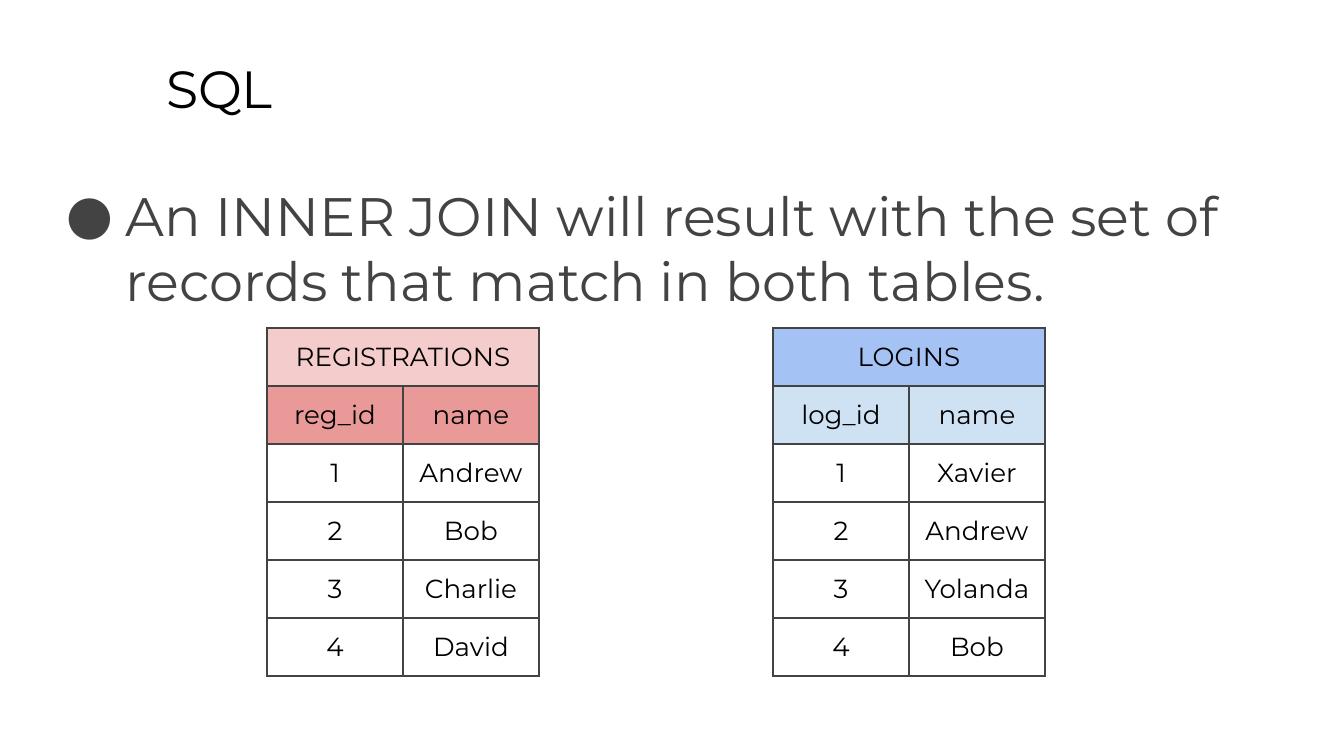
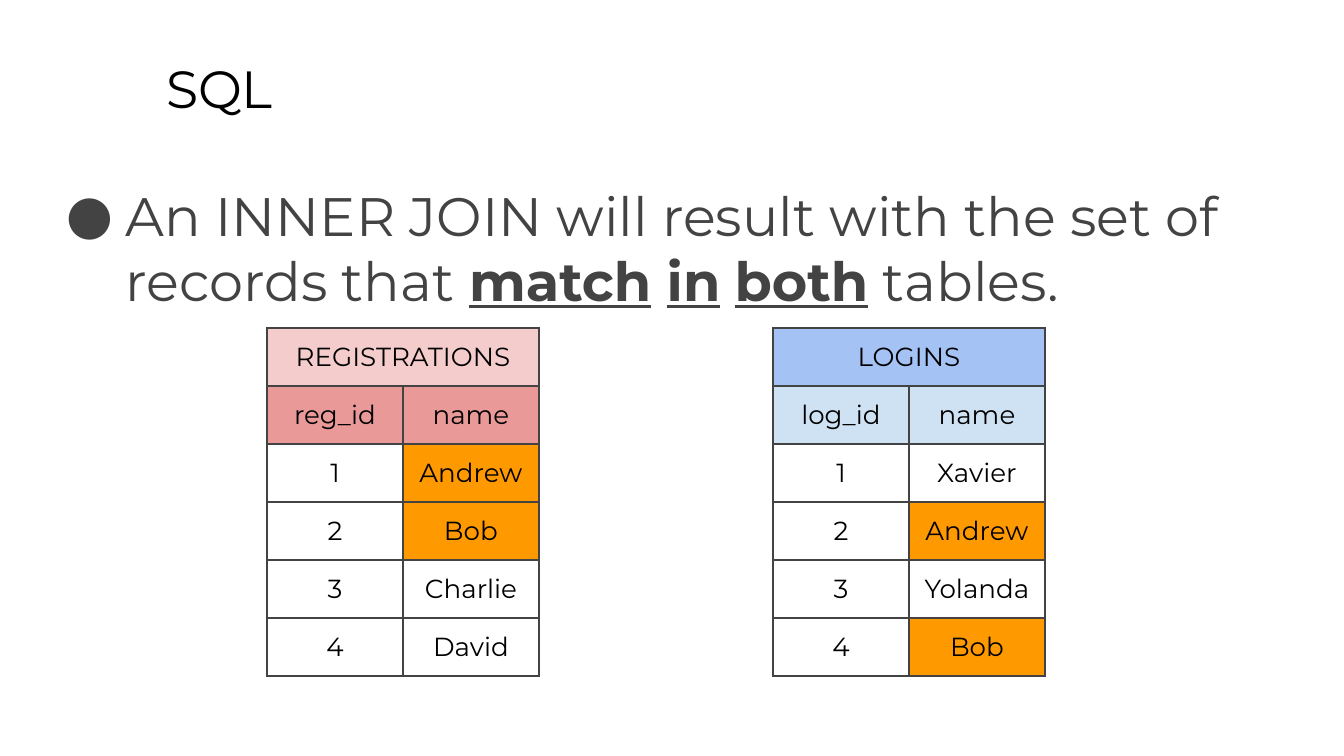
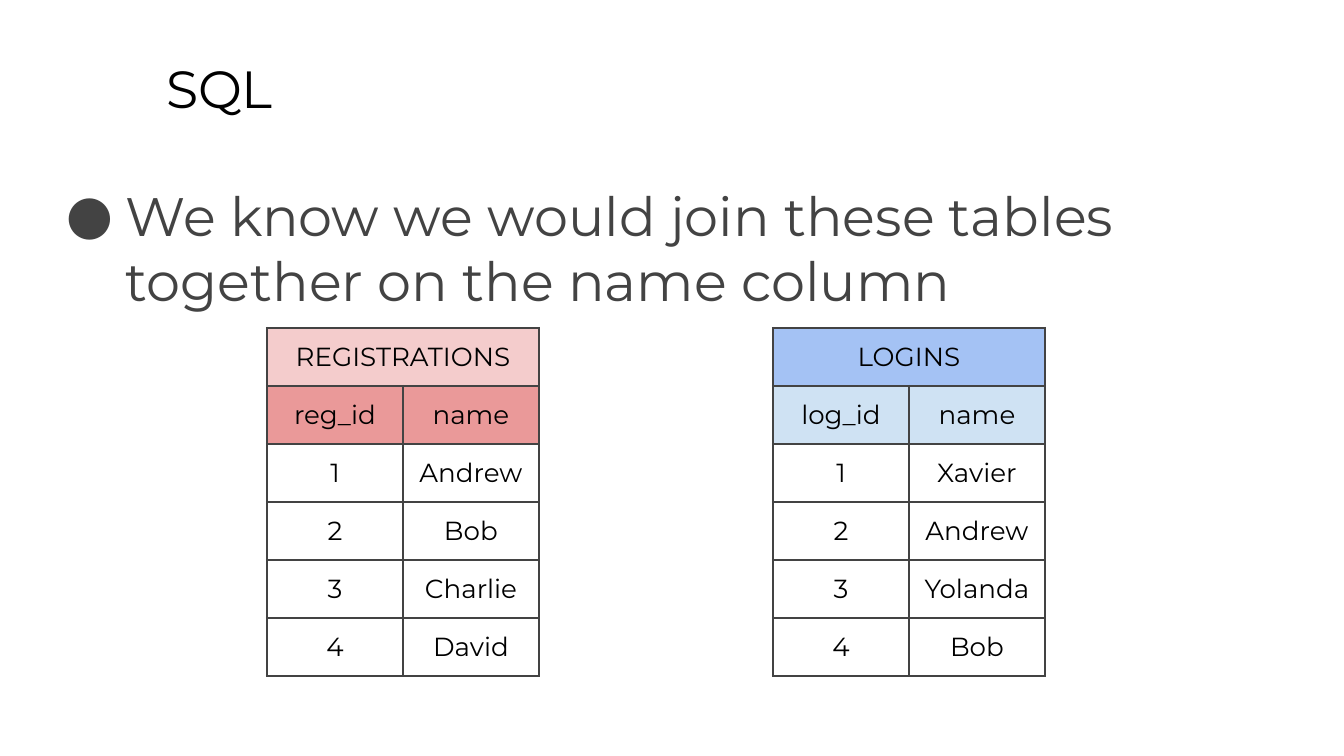
import pptx
import pptx.util
import pptx.dml.color
import pptx.enum.text
import pptx.oxml
import lxml.etree
from pptx.oxml.ns import qn


class Theme:
    """Colours, font and type sizes shared by all slides."""
    font = "Montserrat"
    black, grey, match = "000000", "434343", "FF9900"
    pink, red = "F4CCCC", "EA9999"
    blue, pale = "A4C2F4", "CFE2F3"
    title, body, cell, rule = 28, 29, 14, 1.5


# Tables: left edge, head fill, column fill, head, column names, names by id
TABLES = [
    (267, Theme.pink, Theme.red, "REGISTRATIONS", ("reg_id", "name"),
     ("Andrew", "Bob", "Charlie", "David")),
    (773, Theme.blue, Theme.pale, "LOGINS", ("log_id", "name"),
     ("Xavier", "Andrew", "Yolanda", "Bob")),
]

# Slides: runs of (text, bold, underline), then the names to highlight
SLIDES = [
    ([("An INNER JOIN will result with the set of records that match "
       "in both tables.", False, False)], ()),
    ([("An INNER JOIN will result with the set of records that ", False, False),
      ("match", True, True), (" ", True, False),
      ("in", True, True), (" ", False, False),
      ("both", True, True), (" tables.", False, False)], ("Andrew", "Bob")),
    ([("We know we would join these tables together on the name column",
       False, False)], ()),
]

TITLE = "SQL"
SIZE = (1344, 756)
TITLE_BOX = (153, 43, 1145, 85)
BODY_BOX = (46, 169, 1277, 503)
TABLE_TOP, COL, ROW = 328, 136, 58
INSET, INDENT, HANG = 13, 67, 60


def px(n):
    """Turn picture pixels into EMU."""
    return pptx.util.Emu(round(n * 914400 / 134.4))


def color(code):
    """Make a colour from its hex code."""
    return pptx.dml.color.RGBColor.from_string(code)


def add_run(para, text, size, ink, bold=False, under=False):
    """Add one styled run to a paragraph."""
    run = para.add_run()
    run.text = text
    font = run.font
    font.name, font.size = Theme.font, pptx.util.Pt(size)
    font.color.rgb = color(ink)
    font.bold, font.underline = bold, under


def set_frame(shape, box):
    """Place a text shape and return its first paragraph, left aligned."""
    shape.left, shape.top, shape.width, shape.height = map(px, box)
    frame = shape.text_frame
    frame.word_wrap = True
    frame.auto_size = pptx.enum.text.MSO_AUTO_SIZE.NONE
    frame.vertical_anchor = pptx.enum.text.MSO_ANCHOR.TOP
    frame.margin_left = frame.margin_right = px(INSET)
    frame.margin_top = frame.margin_bottom = px(INSET)
    para = frame.paragraphs[0]
    para.alignment = pptx.enum.text.PP_ALIGN.LEFT
    return para


def add_bullet(para):
    """Give a paragraph a round bullet and a hanging indent."""
    props = para._p.get_or_add_pPr()
    props.set("marL", str(px(INDENT)))
    props.set("indent", str(-px(HANG)))
    tint = lxml.etree.SubElement(props, qn("a:buClr"))
    lxml.etree.SubElement(tint, qn("a:srgbClr"), val=Theme.grey)
    lxml.etree.SubElement(props, qn("a:buFont"), typeface=Theme.font)
    lxml.etree.SubElement(props, qn("a:buChar"), char="●")


def add_rules(cell):
    """Draw the four borders of a cell."""
    props = cell._tc.get_or_add_tcPr()
    for side in ("lnL", "lnR", "lnT", "lnB"):
        line = lxml.etree.SubElement(
            props, qn("a:" + side), w=str(pptx.util.Pt(Theme.rule)))
        fill = lxml.etree.SubElement(line, qn("a:solidFill"))
        lxml.etree.SubElement(fill, qn("a:srgbClr"), val=Theme.grey)


def fill_cell(cell, text, fill):
    """Write, border and fill one cell."""
    cell.margin_left = cell.margin_right = px(INSET)
    cell.margin_top = cell.margin_bottom = px(INSET)
    add_rules(cell)
    if fill:
        cell.fill.solid()
        cell.fill.fore_color.rgb = color(fill)
    else:
        cell.fill.background()
    if text:
        para = cell.text_frame.paragraphs[0]
        para.alignment = pptx.enum.text.PP_ALIGN.CENTER
        add_run(para, text, Theme.cell, Theme.black)


def add_grid(slide, left, top_fill, col_fill, head, cols, names, marked):
    """Add a headed table of numbered names, with marked names filled."""
    rows = [[(head, top_fill), ("", top_fill)],
            [(col, col_fill) for col in cols]]
    for num, name in enumerate(names, 1):
        rows.append([(str(num), None),
                     (name, Theme.match if name in marked else None)])
    table = slide.shapes.add_table(
        len(rows), len(cols), px(left), px(TABLE_TOP),
        px(COL * len(cols)), px(ROW * len(rows))).table
    table.first_row = table.horz_banding = False
    for col in table.columns:
        col.width = px(COL)
    for r, row in enumerate(rows):
        table.rows[r].height = px(ROW)
        for c, (text, fill) in enumerate(row):
            fill_cell(table.cell(r, c), text, fill)
    table.cell(0, 0).merge(table.cell(0, len(cols) - 1))


def add_slide(deck, runs, marked):
    """Add one slide: title, bullet and both tables."""
    slide = deck.slides.add_slide(deck.slide_layouts[5])
    add_run(set_frame(slide.shapes.title, TITLE_BOX),
            TITLE, Theme.title, Theme.black)
    para = set_frame(slide.shapes.add_textbox(0, 0, 0, 0), BODY_BOX)
    add_bullet(para)
    for text, bold, under in runs:
        add_run(para, text, Theme.body, Theme.grey, bold, under)
    for spec in TABLES:
        add_grid(slide, *spec, marked)


deck = pptx.Presentation()
deck.slide_width, deck.slide_height = map(px, SIZE)
for runs, marked in SLIDES:
    add_slide(deck, runs, marked)
deck.save("out.pptx")
